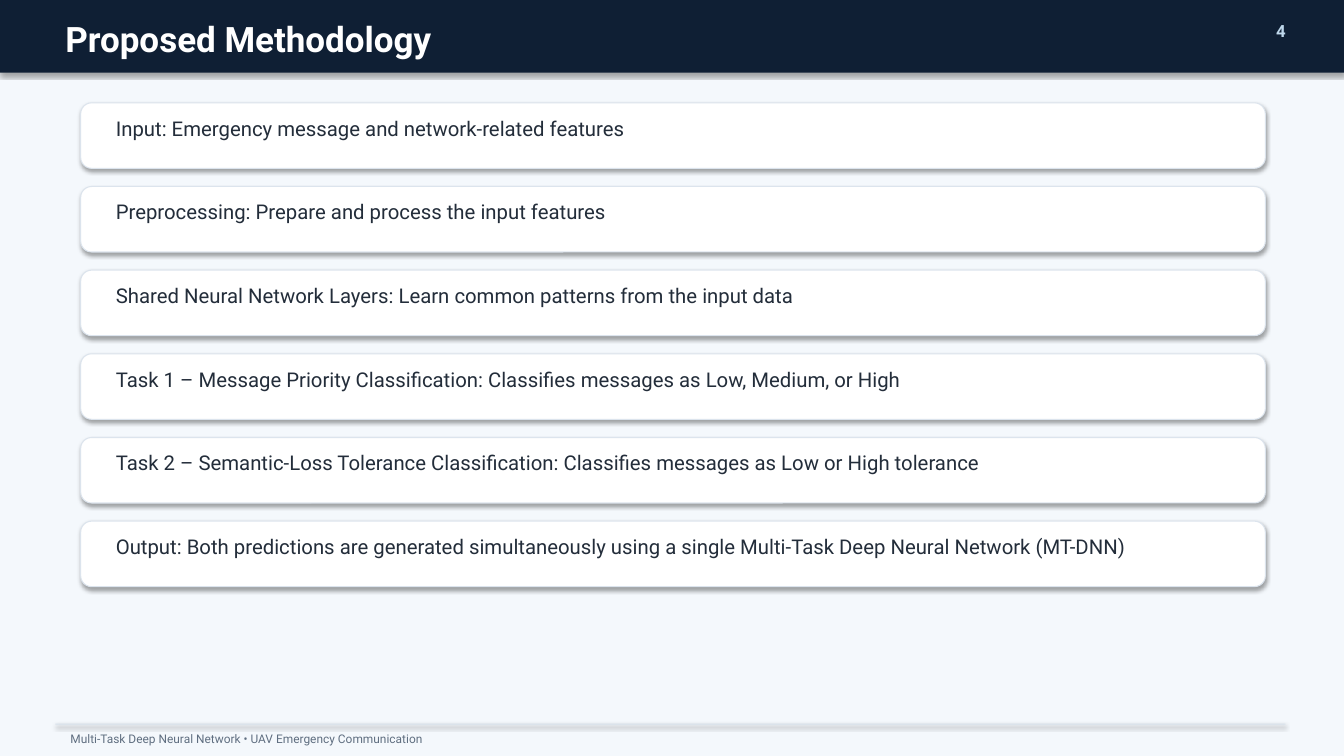
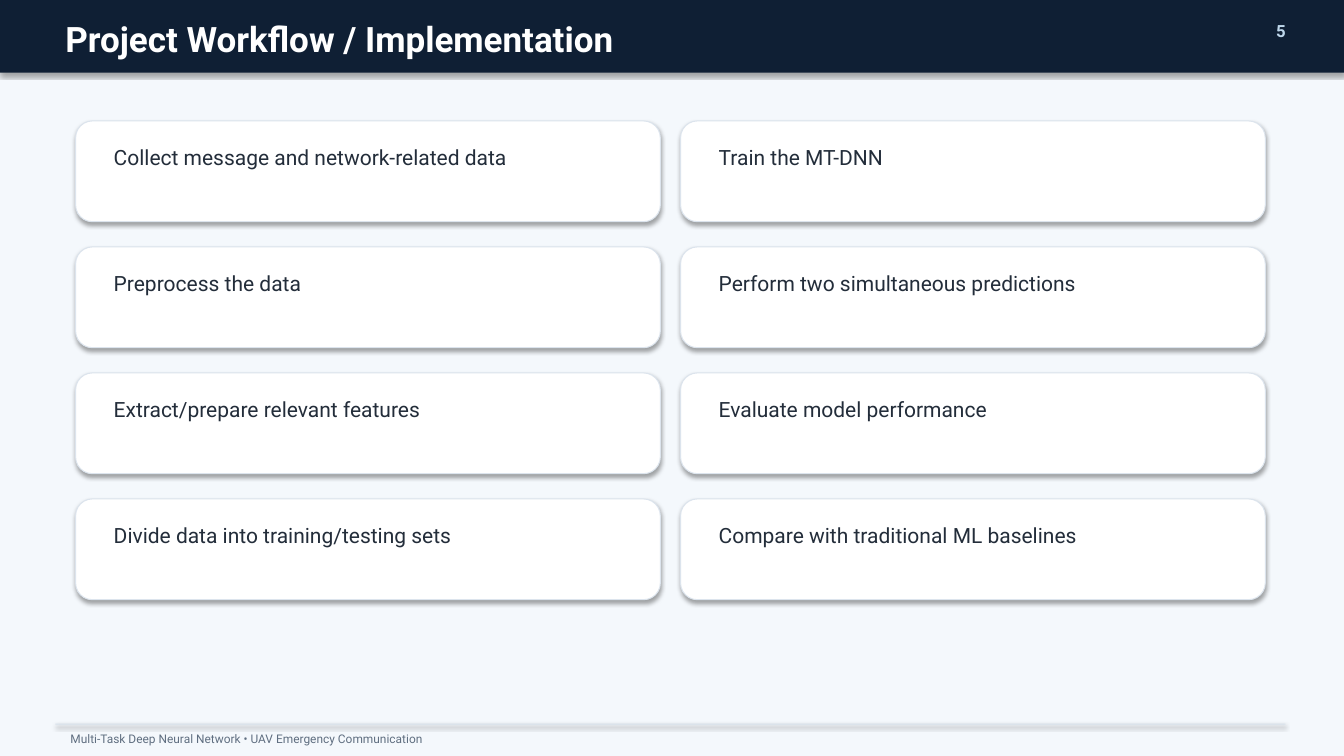
from pptx import Presentation
from pptx.dml.color import RGBColor
from pptx.enum import shapes, text
from pptx.util import Inches, Pt

FONT = "Roboto"
WHITE = "FFFFFF"
NAVY = "0F1F34"
PALE_BLUE = "BED7EB"
BACKDROP = "F4F8FC"
RULE = "D7E1EB"
CARD_EDGE = "DCE4ED"
INK = "232D3A"
MUTED = "5F6E80"

SLIDE_WIDTH, SLIDE_HEIGHT = 13.33, 7.5
FOOTER = "Multi-Task Deep Neural Network • UAV Emergency Communication"

METHOD_STEPS = [
    "Input: Emergency message and network-related features",
    "Preprocessing: Prepare and process the input features",
    "Shared Neural Network Layers: Learn common patterns from the input data",
    "Task 1 – Message Priority Classification: Classifies messages as Low, Medium, or High",
    "Task 2 – Semantic-Loss Tolerance Classification: Classifies messages as Low or High tolerance",
    "Output: Both predictions are generated simultaneously using a single "
    "Multi-Task Deep Neural Network (MT-DNN)",
]
WORKFLOW_COLUMNS = [
    [
        "Collect message and network-related data",
        "Preprocess the data",
        "Extract/prepare relevant features",
        "Divide data into training/testing sets",
    ],
    [
        "Train the MT-DNN",
        "Perform two simultaneous predictions",
        "Evaluate model performance",
        "Compare with traditional ML baselines",
    ],
]


def color(value):
    return RGBColor.from_string(value)


def add_panel(page, kind, left, top, width, height, fill, edge=None):
    """Add a filled shape that keeps the theme's soft drop shadow."""
    panel = page.shapes.add_shape(
        kind, Inches(left), Inches(top), Inches(width), Inches(height))
    panel.fill.solid()
    panel.fill.fore_color.rgb = color(fill)
    if edge:
        panel.line.color.rgb = color(edge)
        panel.line.width = Pt(0.75)
    else:
        panel.line.fill.background()
    return panel


def add_label(page, words, left, top, width, height, size, ink,
              bold=False, align=text.PP_ALIGN.LEFT):
    box = page.shapes.add_textbox(
        Inches(left), Inches(top), Inches(width), Inches(height))
    frame = box.text_frame
    frame.word_wrap = True
    frame.auto_size = text.MSO_AUTO_SIZE.SHAPE_TO_FIT_TEXT
    para = frame.paragraphs[0]
    para.alignment = align
    span = para.add_run()
    span.text = words
    span.font.name = FONT
    span.font.size = Pt(size)
    span.font.bold = bold
    span.font.color.rgb = color(ink)


def add_page(deck, title, number):
    """Add a slide with the shared backdrop, title band and footer."""
    page = deck.slides.add_slide(deck.slide_layouts[6])
    page.background.fill.solid()
    page.background.fill.fore_color.rgb = color(BACKDROP)
    rectangle = shapes.MSO_SHAPE.RECTANGLE
    add_panel(page, rectangle, 0, 0, SLIDE_WIDTH, 0.72, NAVY)
    add_label(page, title, 0.55, 0.12, 11.5, 0.42, 25, WHITE, bold=True)
    add_label(page, str(number), 12.35, 0.16, 0.5, 0.3, 12, PALE_BLUE,
              bold=True, align=text.PP_ALIGN.RIGHT)
    add_panel(page, rectangle, 0.55, 7.18, 12.2, 0.01, RULE)
    add_label(page, FOOTER, 0.6, 7.21, 12, 0.2, 8.5, MUTED)
    return page


def add_card_column(page, entries, left, top, width, height, gap,
                    inset, label_height, size):
    """Stack one card per entry; inset is the label's (x, y) offset."""
    inset_x, inset_y = inset
    for row, words in enumerate(entries):
        card_top = top + row * (height + gap)
        add_panel(page, shapes.MSO_SHAPE.ROUNDED_RECTANGLE,
                  left, card_top, width, height, WHITE, CARD_EDGE)
        add_label(page, words, left + inset_x, card_top + inset_y,
                  width - 2 * inset_x, label_height, size, INK)


def add_methodology(deck):
    page = add_page(deck, "Proposed Methodology", 4)
    add_card_column(page, METHOD_STEPS, left=0.8, top=1.02, width=11.75,
                    height=0.65, gap=0.18, inset=(0.25, 0.08),
                    label_height=0.45, size=14.5)


def add_workflow(deck):
    page = add_page(deck, "Project Workflow / Implementation", 5)
    card_width, column_gap = 5.8, 0.2
    for column, entries in enumerate(WORKFLOW_COLUMNS):
        add_card_column(page, entries,
                        left=0.75 + column * (card_width + column_gap),
                        top=1.2, width=card_width, height=1, gap=0.25,
                        inset=(0.28, 0.18), label_height=0.65, size=15)


def main():
    deck = Presentation()
    deck.slide_width = Inches(SLIDE_WIDTH)
    deck.slide_height = Inches(SLIDE_HEIGHT)
    add_methodology(deck)
    add_workflow(deck)
    deck.save("out.pptx")


if __name__ == "__main__":
    main()
